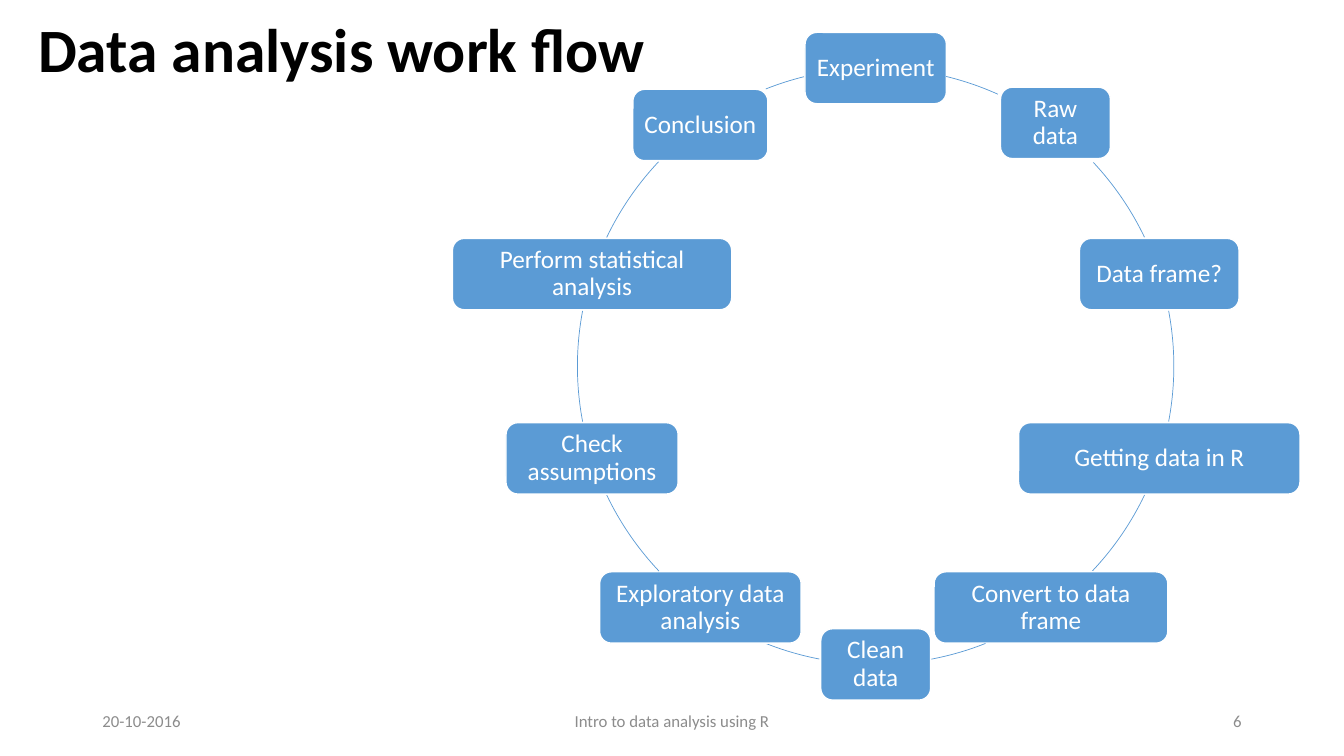
import math

import pptx
import pptx.dml.color
import pptx.enum.shapes
import pptx.enum.text
import pptx.util

Pt = pptx.util.Pt
SHAPES = pptx.enum.shapes.MSO_SHAPE
ALIGN = pptx.enum.text.PP_ALIGN
COLOURS = {"box": "5B9BD5", "white": "FFFFFF", "title": "000000", "footer": "8C8C8C"}


def colour(name):
    return pptx.dml.color.RGBColor.from_string(COLOURS[name])


def write(shape, words, size, colour_name, align, spacing=1.0, bold=False, inset=(7.2, 3.6)):
    """Fill a shape with one formatted, vertically centred paragraph."""
    frame = shape.text_frame
    frame.text = words
    across, down = inset
    frame_format = {
        "word_wrap": True,
        "auto_size": pptx.enum.text.MSO_AUTO_SIZE.NONE,
        "vertical_anchor": pptx.enum.text.MSO_ANCHOR.MIDDLE,
        "margin_left": Pt(across),
        "margin_right": Pt(across),
        "margin_top": Pt(down),
        "margin_bottom": Pt(down),
    }
    for attribute, value in frame_format.items():
        setattr(frame, attribute, value)
    paragraph = frame.paragraphs[0]
    paragraph.alignment = align
    paragraph.line_spacing = spacing
    font = paragraph.runs[0].font
    for attribute, value in {"name": "Calibri", "size": Pt(size), "bold": bold}.items():
        setattr(font, attribute, value)
    font.color.rgb = colour(colour_name)


deck = pptx.Presentation()
deck.slide_width, deck.slide_height = Pt(960), Pt(540)
slide = deck.slides.add_slide(deck.slide_layouts[5])

title = slide.shapes.title
title.left, title.top, title.width, title.height = Pt(20), Pt(-14.4), Pt(828), Pt(104.4)
write(title, "Data analysis work flow", 44, "title", ALIGN.LEFT, 0.9, True)

# Ring of steps, clockwise from the top: wording, box width, nudge off the ring
CENTRE_X, CENTRE_Y, RADIUS, BOX_HEIGHT = 625.5, 261.6, 213, 51
steps = [
    ("Experiment", 101, (0, 0)),
    ("Raw data", 78.5, (3.2, -1.5)),
    ("Data frame?", 114, (0, 0)),
    ("Getting data in R", 201, (0, 0)),
    ("Convert to data frame", 167, (0, 0)),
    ("Clean data", 78.5, (0, 0)),
    ("Exploratory data analysis", 144, (0, 0)),
    ("Check assumptions", 123, (0, 0)),
    ("Perform statistical analysis", 199.5, (0, 0)),
    ("Conclusion", 96.5, (0, 0)),
]
# Start and end angle of the link after each step, in degrees clockwise from the right
links = [
    (283.7, 294.2), (316.9, 334.4), (349.3, 10.7), (25.6, 43.4), (68.4, 79.3),
    (100.9, 111.6), (136.6, 154.4), (169.3, 190.7), (205.6, 223.3), (248.4, 256.1),
]

for number, ((words, width, nudge), angles) in enumerate(zip(steps, links)):
    turn = math.radians(number * 360 / len(steps))
    middle_x = CENTRE_X + RADIUS * math.sin(turn) + nudge[0]
    middle_y = CENTRE_Y - RADIUS * math.cos(turn) + nudge[1]
    step = slide.shapes.add_shape(
        SHAPES.ROUNDED_RECTANGLE, Pt(middle_x - width / 2), Pt(middle_y - BOX_HEIGHT / 2),
        Pt(width), Pt(BOX_HEIGHT))
    step.shadow.inherit = False
    step.fill.solid()
    step.fill.fore_color.rgb = colour("box")
    step.line.color.rgb = colour("white")
    step.line.width = Pt(1)
    # The rounded corners add about 2.5 points to each inset
    write(step, words, 18, "white", ALIGN.CENTER, 0.9, inset=(4.8, 4.8))

    link = slide.shapes.add_shape(
        SHAPES.ARC, Pt(CENTRE_X - RADIUS), Pt(CENTRE_Y - RADIUS), Pt(2 * RADIUS), Pt(2 * RADIUS))
    link.shadow.inherit = False
    link.fill.background()
    link.line.color.rgb = colour("box")
    link.line.width = Pt(0.5)
    for end, angle in enumerate(angles):
        link.adjustments[end] = angle * 0.6  # 60000 units per degree, scaled by 100000

footers = [
    ("20-10-2016", 66, 216, ALIGN.LEFT),
    ("Intro to data analysis using R", 318, 324, ALIGN.CENTER),
    ("6", 678, 216, ALIGN.RIGHT),
]
for words, left, width, align in footers:
    footer = slide.shapes.add_textbox(Pt(left), Pt(500.5), Pt(width), Pt(28.75))
    write(footer, words, 12, "footer", align)

deck.save("out.pptx")
